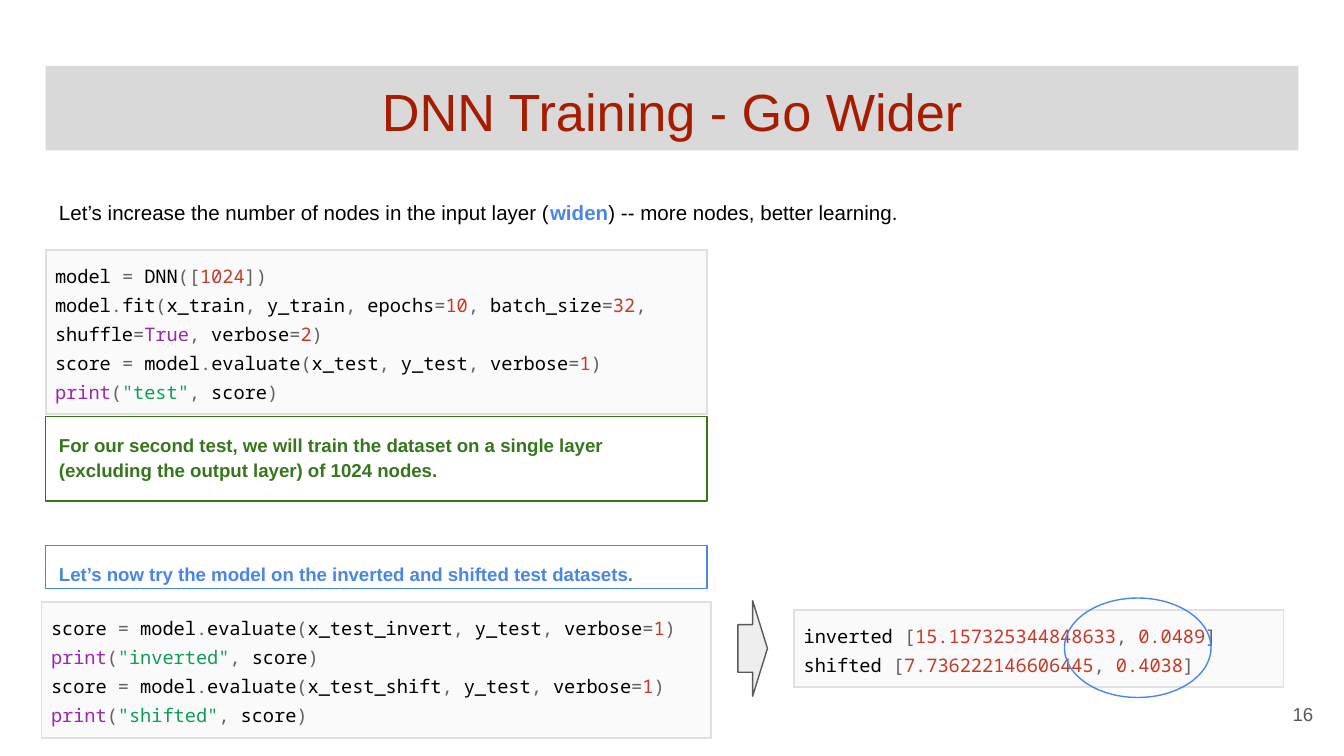
from dataclasses import dataclass
from itertools import groupby

from lxml import etree
from pptx import Presentation
from pptx.dml.color import RGBColor
from pptx.enum.shapes import MSO_SHAPE
from pptx.enum.text import MSO_ANCHOR, MSO_AUTO_SIZE, PP_ALIGN
from pptx.oxml.ns import qn
from pptx.util import Inches, Pt

RECT, ELLIPSE, ARROW = MSO_SHAPE.RECTANGLE, MSO_SHAPE.OVAL, MSO_SHAPE.RIGHT_ARROW
TOP, MIDDLE = MSO_ANCHOR.TOP, MSO_ANCHOR.MIDDLE
LEFT, CENTER, RIGHT = PP_ALIGN.LEFT, PP_ALIGN.CENTER, PP_ALIGN.RIGHT


@dataclass(frozen=True)
class Theme:
    font: str = "Arial"
    mono: str = "Noto Sans Mono"
    title_size: float = 28
    lead_size: float = 11
    body_size: float = 10
    line_width: float = 0.75
    spacing: float = 1.15
    title: str = "A61C00"
    title_fill: str = "D9D9D9"
    text: str = "000000"
    gray: str = "595959"
    blue: str = "4A86E8"
    green: str = "38761D"
    arrow_fill: str = "EEEEEE"
    code_fill: str = "FAFAFA"
    code_border: str = "E0E0E0"
    code_punctuation: str = "616161"
    code_number: str = "C53929"
    code_keyword: str = "9C27B0"
    code_string: str = "0F9D58"


THEME = Theme()
MARGIN, FULL_WIDTH, BOX_WIDTH = 0.34, 9.32, 4.92
KEYWORDS = {"print", "True"}

TRAIN_CODE = """model = DNN([1024])
model.fit(x_train, y_train, epochs=10, batch_size=32, shuffle=True, verbose=2)
score = model.evaluate(x_test, y_test, verbose=1)
print("test", score)"""
EVALUATE_CODE = """score = model.evaluate(x_test_invert, y_test, verbose=1)
print("inverted", score)
score = model.evaluate(x_test_shift, y_test, verbose=1)
print("shifted", score)"""
RESULTS = """inverted [15.157325344848633, 0.0489]
shifted [7.736222146606445, 0.4038]"""


def rgb(color):
    return RGBColor.from_string(color)


def write(p, runs, size, font=THEME.font, bold=False):
    """Add (text, colour) runs to a paragraph."""
    for text, color in runs:
        r = p.add_run()
        r.text = text
        r.font.name, r.font.size, r.font.bold = font, Pt(size), bold
        r.font.color.rgb = rgb(color)


def set_frame(tf, anchor=TOP):
    tf.word_wrap = True
    tf.auto_size = MSO_AUTO_SIZE.NONE
    tf.vertical_anchor = anchor
    tf.margin_left = tf.margin_right = tf.margin_top = tf.margin_bottom = Inches(0.1)


def add_title(slide, text):
    sp = slide.shapes.title
    sp.left, sp.top = Inches(MARGIN), Inches(0.49)
    sp.width, sp.height = Inches(FULL_WIDTH), Inches(0.63)
    sp.fill.solid()
    sp.fill.fore_color.rgb = rgb(THEME.title_fill)
    set_frame(sp.text_frame)
    p = sp.text_frame.paragraphs[0]
    p.alignment = CENTER
    write(p, [(text, THEME.title)], THEME.title_size)


def add_text(slide, box, anchor=TOP, align=LEFT):
    """Add a text box and return its empty first paragraph."""
    sp = slide.shapes.add_textbox(*map(Inches, box))
    set_frame(sp.text_frame, anchor)
    p = sp.text_frame.paragraphs[0]
    p.alignment = align
    return p


def add_lead(slide, before, key, after):
    """Add the opening sentence with its key word in bold blue."""
    p = add_text(slide, (MARGIN, 1.36, FULL_WIDTH, 0.63))
    p.line_spacing = THEME.spacing
    write(p, [(before, THEME.text)], THEME.lead_size)
    write(p, [(key, THEME.blue)], THEME.lead_size, bold=True)
    write(p, [(after, THEME.text)], THEME.lead_size)


def add_page_number(slide, number):
    p = add_text(slide, (9.27, 5.1, 0.6, 0.43), MIDDLE, RIGHT)
    write(p, [(number, THEME.gray)], THEME.body_size)


def add_outline(slide, kind, box, line, fill=None):
    sp = slide.shapes.add_shape(kind, *map(Inches, box))
    sp.shadow.inherit = False
    sp.line.color.rgb = rgb(line)
    sp.line.width = Pt(THEME.line_width)
    if fill:
        sp.fill.solid()
        sp.fill.fore_color.rgb = rgb(fill)
    else:
        sp.fill.background()
    return sp


def add_note(slide, top, height, text, color):
    """Add an outlined box with bold text in the outline's colour."""
    sp = add_outline(slide, RECT, (MARGIN, top, BOX_WIDTH, height), color)
    set_frame(sp.text_frame)
    p = sp.text_frame.paragraphs[0]
    p.alignment, p.line_spacing = LEFT, THEME.spacing
    write(p, [(text, color)], THEME.body_size, bold=True)


def is_word(code, i):
    """Tell names, numbers and blanks from punctuation; a decimal point is part of its number."""
    if code[i] == ".":
        return code[i - 1:i].isdigit() and code[i + 1:i + 2].isdigit()
    return code[i].isalnum() or code[i] in "_ "


def token_color(token, word):
    name = token.strip()
    if not word:
        return THEME.code_punctuation
    if name in KEYWORDS:
        return THEME.code_keyword
    return THEME.code_number if name[:1].isdigit() else THEME.text


def highlight(line):
    """Split a line of code into (text, colour) runs."""
    runs = []
    for n, part in enumerate(line.split('"')):
        if n % 2:
            runs.append((f'"{part}"', THEME.code_string))
            continue
        for word, places in groupby(range(len(part)), lambda i: is_word(part, i)):
            token = "".join(part[i] for i in places)
            runs.append((token, token_color(token, word)))
    return runs


def set_borders(cell, color):
    tc_pr = cell._tc.get_or_add_tcPr()
    for side in ("lnL", "lnR", "lnT", "lnB"):
        ln = etree.SubElement(tc_pr, qn(f"a:{side}"), w=str(Pt(1)))
        fill = etree.SubElement(ln, qn("a:solidFill"))
        etree.SubElement(fill, qn("a:srgbClr"), val=color)


def add_code(slide, box, code):
    """Add a one-cell table holding highlighted code."""
    table = slide.shapes.add_table(1, 1, *map(Inches, box)).table
    table.first_row = table.horz_banding = False
    cell = table.cell(0, 0)
    cell.margin_left = cell.margin_right = Inches(0.07)
    cell.margin_top = cell.margin_bottom = Inches(0.07)
    set_borders(cell, THEME.code_border)
    cell.fill.solid()
    cell.fill.fore_color.rgb = rgb(THEME.code_fill)
    tf = cell.text_frame
    for n, line in enumerate(code.splitlines()):
        p = tf.add_paragraph() if n else tf.paragraphs[0]
        p.line_spacing = THEME.spacing
        write(p, highlight(line), THEME.body_size, THEME.mono)


def main():
    prs = Presentation()
    prs.slide_width = Inches(10)
    prs.slide_height = prs.slide_width * 9 // 16
    slide = prs.slides.add_slide(prs.slide_layouts.get_by_name("Title Only"))

    add_title(slide, "DNN Training - Go Wider")
    add_page_number(slide, "16")
    add_lead(slide, "Let’s increase the number of nodes in the input layer (", "widen",
             ") -- more nodes, better learning.")
    add_note(slide, 3.1, 0.63, "For our second test, we will train the dataset on a single layer "
             "(excluding the output layer) of 1024 nodes.", THEME.green)
    add_code(slide, (MARGIN, 1.86, BOX_WIDTH, 1.22), TRAIN_CODE)
    add_code(slide, (0.31, 4.48, 4.98, 1.01), EVALUATE_CODE)
    add_note(slide, 4.06, 0.32, "Let’s now try the model on the inverted and shifted "
             "test datasets.", THEME.blue)
    add_code(slide, (5.91, 4.54, 3.64, 0.56), RESULTS)
    add_outline(slide, ARROW, (5.49, 4.47, 0.22, 0.71), THEME.gray, THEME.arrow_fill)
    add_outline(slide, ELLIPSE, (7.92, 4.45, 1.09, 0.74), THEME.blue)

    prs.save("out.pptx")


if __name__ == "__main__":
    main()
